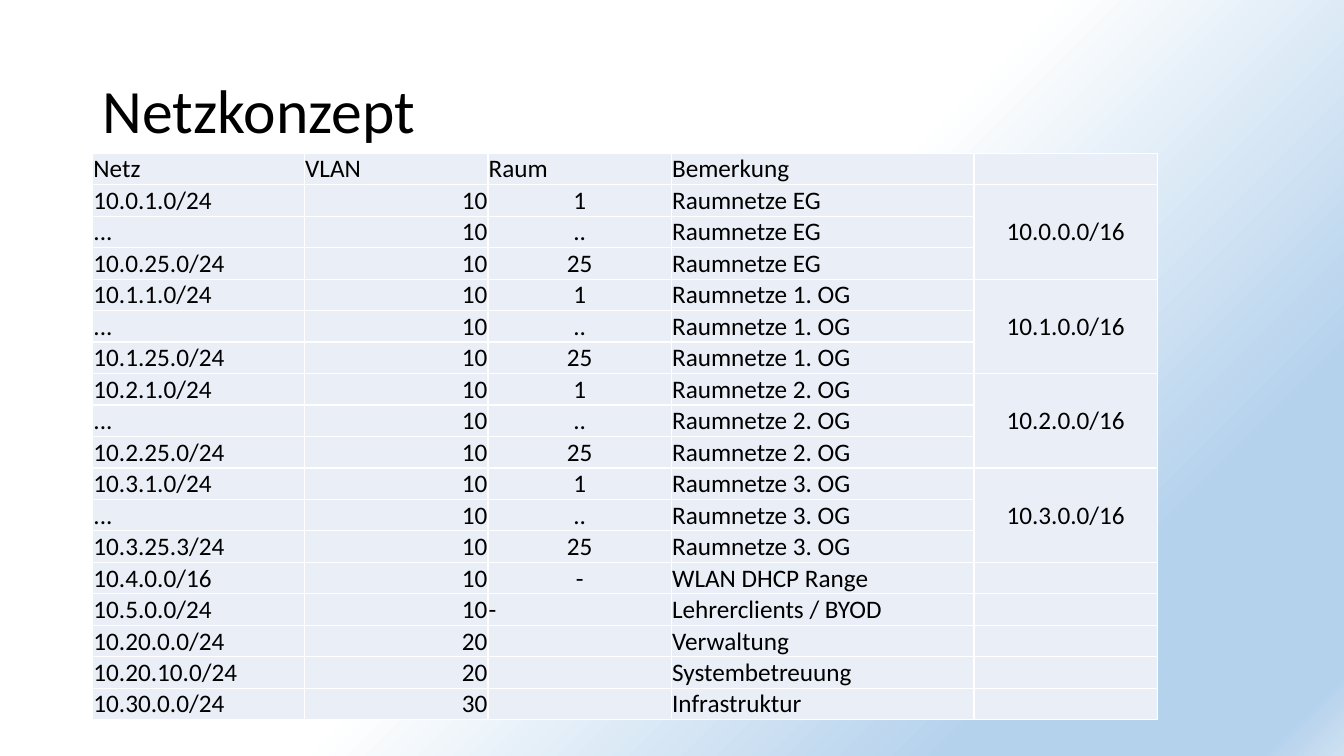
from lxml.etree import SubElement
from pptx import Presentation
from pptx.dml.color import RGBColor
from pptx.enum.text import MSO_ANCHOR, PP_ALIGN
from pptx.oxml import parse_xml
from pptx.oxml.ns import nsdecls, qn
from pptx.util import Inches, Pt

WIDTH, HEIGHT = 13.33, 7.5
FONT = "Calibri"
BLACK, WHITE, CELL_FILL = "000000", "FFFFFF", "EAEFF7"
BACKGROUND_STOPS = [(50, WHITE), (81, "B5D2EC"), (96, "B5D2EC"), (100, "CEE1F2")]
TITLE_BOX = (0.92, 0.4, 11.5, 1.45)
TABLE_BOX = (0.92, 1.52, 10.56, 5.59)
COLUMN_WIDTHS = [2.1, 1.82, 1.82, 3, 1.82]
LEFT, CENTER, RIGHT = PP_ALIGN.LEFT, PP_ALIGN.CENTER, PP_ALIGN.RIGHT
COLUMN_ALIGNMENTS = [LEFT, RIGHT, CENTER, LEFT, CENTER]
SUMMARY_COLUMN = 4
ROOMS_PER_FLOOR = 3

HEADER = ["Netz", "VLAN", "Raum", "Bemerkung", ""]
FLOORS = [
    ("EG", "10.0.0.0/16", "10.0.1.0/24", "10.0.25.0/24"),
    ("1. OG", "10.1.0.0/16", "10.1.1.0/24", "10.1.25.0/24"),
    ("2. OG", "10.2.0.0/16", "10.2.1.0/24", "10.2.25.0/24"),
    ("3. OG", "10.3.0.0/16", "10.3.1.0/24", "10.3.25.3/24"),
]
OTHER_NETWORKS = [
    ["10.4.0.0/16", "10", "-", "WLAN DHCP Range", ""],
    ["10.5.0.0/24", "10", "-", "Lehrerclients / BYOD", ""],
    ["10.20.0.0/24", "20", "", "Verwaltung", ""],
    ["10.20.10.0/24", "20", "", "Systembetreuung", ""],
    ["10.30.0.0/24", "30", "", "Infrastruktur", ""],
]
LEFT_ALIGNED_ROOM = "10.5.0.0/24"


def color(value):
    return RGBColor.from_string(value)


def write_text(frame, text, size=18, align=LEFT, anchor=MSO_ANCHOR.BOTTOM, spacing=None):
    frame.vertical_anchor = anchor
    para = frame.paragraphs[0]
    para.alignment = align
    para.line_spacing = spacing
    if not text:
        SubElement(para._p, qn("a:endParaRPr"), sz=str(size * 100))
        return
    span = para.add_run()
    span.text = text
    span.font.size = Pt(size)
    span.font.name = FONT
    span.font.color.rgb = color(BLACK)


def paint_background(page):
    fill = page.background.fill
    fill.gradient()
    fill.gradient_angle = 315
    stops = page._element.find(".//" + qn("a:gsLst"))
    for stop in list(stops):
        stops.remove(stop)
    for position, value in BACKGROUND_STOPS:
        stop = SubElement(stops, qn("a:gs"), pos=str(position * 1000))
        SubElement(stop, qn("a:srgbClr"), val=value)


def place_title(page, box):
    title = page.shapes.title
    title.left, title.top, title.width, title.height = map(Inches, box)
    write_text(title.text_frame, "Netzkonzept", size=44, anchor=MSO_ANCHOR.MIDDLE, spacing=0.9)


def network_rows():
    rows = [HEADER]
    for floor, summary, first, last in FLOORS:
        rooms = [(first, "1", summary), ("...", "..", ""), (last, "25", "")]
        rows += [[net, "10", room, f"Raumnetze {floor}", total] for net, room, total in rooms]
    return rows + OTHER_NETWORKS


def format_cell(cell):
    cell.margin_left = cell.margin_right = cell.margin_top = Pt(0.5)
    cell.margin_bottom = 0
    cell.fill.solid()
    cell.fill.fore_color.rgb = color(CELL_FILL)
    properties = cell._tc.get_or_add_tcPr()
    for index, side in enumerate(["lnL", "lnR", "lnT", "lnB"]):
        border = parse_xml(
            f'<a:{side} {nsdecls("a")} w="12700"><a:solidFill>'
            f'<a:srgbClr val="{WHITE}"/></a:solidFill></a:{side}>'
        )
        properties.insert(index, border)


def cell_alignment(row_index, column_index, row):
    if row_index == 0 or (column_index == 2 and row[0] == LEFT_ALIGNED_ROOM):
        return LEFT
    return COLUMN_ALIGNMENTS[column_index]


def place_network_table(page, box):
    rows = network_rows()
    frame = page.shapes.add_table(len(rows), len(HEADER), *map(Inches, box))
    table = frame.table
    table.horz_banding = False
    for column, width in zip(table.columns, COLUMN_WIDTHS):
        column.width = Inches(width)
    for table_row in table.rows:
        table_row.height = Inches(box[3] / len(rows))
    for row_index, row in enumerate(rows):
        for column_index, text in enumerate(row):
            cell = table.cell(row_index, column_index)
            format_cell(cell)
            summary = column_index == SUMMARY_COLUMN and text
            anchor = MSO_ANCHOR.MIDDLE if summary else MSO_ANCHOR.BOTTOM
            align = cell_alignment(row_index, column_index, row)
            write_text(cell.text_frame, text, align=align)
            cell.vertical_anchor = anchor
    for floor_index in range(len(FLOORS)):
        first = 1 + floor_index * ROOMS_PER_FLOOR
        last = first + ROOMS_PER_FLOOR - 1
        table.cell(first, SUMMARY_COLUMN).merge(table.cell(last, SUMMARY_COLUMN))


def main():
    deck = Presentation()
    deck.slide_width, deck.slide_height = Inches(WIDTH), Inches(HEIGHT)
    page = deck.slides.add_slide(deck.slide_layouts[5])
    paint_background(page)
    place_title(page, TITLE_BOX)
    place_network_table(page, TABLE_BOX)
    deck.save("out.pptx")


if __name__ == "__main__":
    main()
